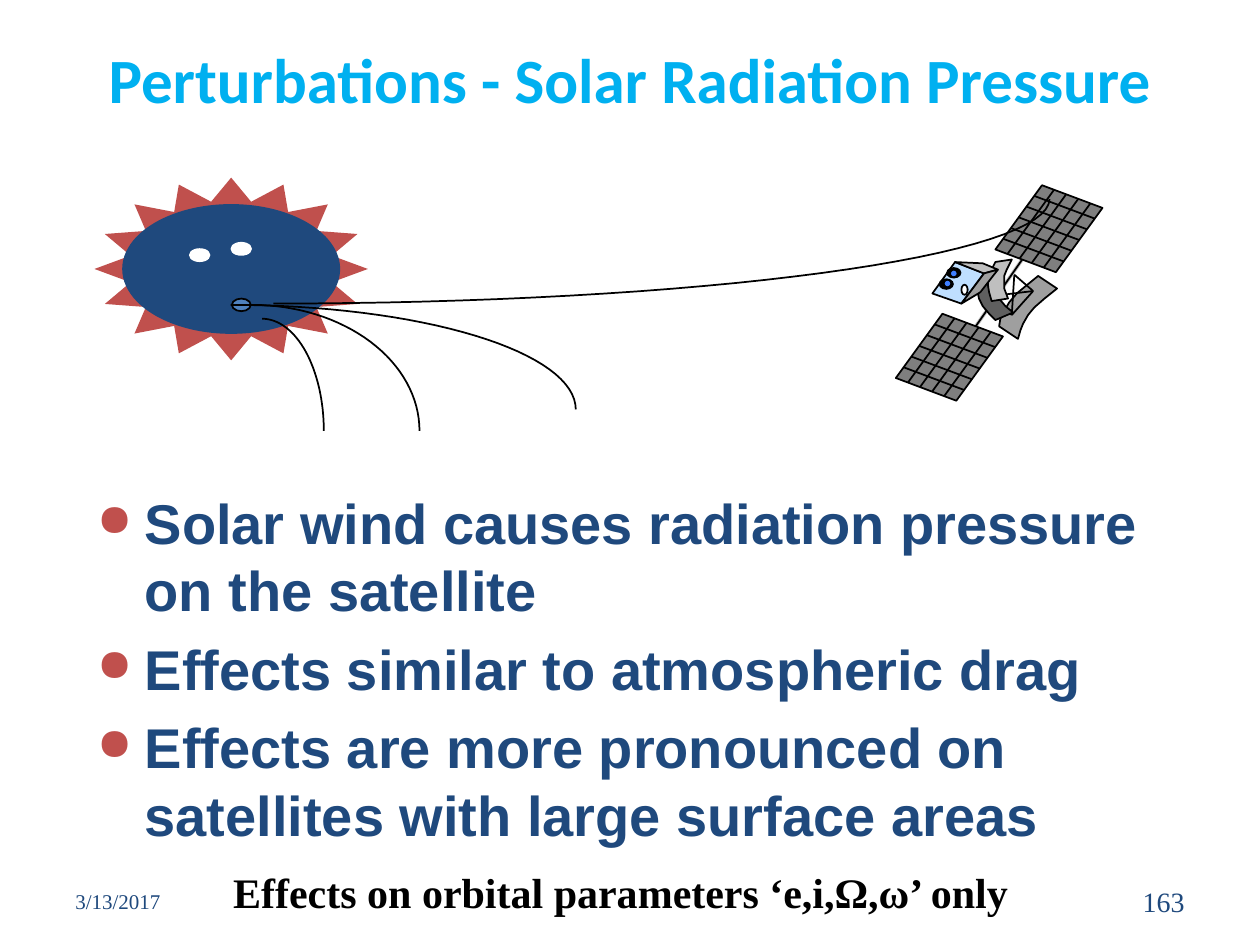
import math

from pptx import Presentation
from pptx import util as u
from pptx.dml.color import RGBColor
from pptx.enum import shapes, text
from pptx.oxml import parse_xml
from pptx.oxml.ns import nsdecls, qn

BLACK = RGBColor(0x00, 0x00, 0x00)
WHITE = RGBColor(0xFF, 0xFF, 0xFF)
SKY = RGBColor(0x00, 0xB0, 0xF0)
NAVY = RGBColor(0x1F, 0x49, 0x7D)
RED = RGBColor(0xC0, 0x50, 0x4D)
BLUE = RGBColor(0x4F, 0x81, 0xBD)
EYE_BLUE = RGBColor(0x3F, 0x7F, 0xFF)
PALE_BLUE = RGBColor(0xBF, 0xDF, 0xFF)
DARK_GREY = RGBColor(0x5F, 0x5F, 0x5F)
PANEL_GREY = RGBColor(0x7F, 0x7F, 0x7F)
MID_GREY = RGBColor(0x9F, 0x9F, 0x9F)
LIGHT_GREY = RGBColor(0xBF, 0xBF, 0xBF)

OVAL = shapes.MSO_SHAPE.OVAL
LEFT, CENTER, RIGHT = text.PP_ALIGN.LEFT, text.PP_ALIGN.CENTER, text.PP_ALIGN.RIGHT


def inches(*values):
    return [u.Inches(value) for value in values]


def between(start, end, share):
    return tuple(a + (b - a) * share for a, b in zip(start, end))


class SlideBuilder:
    serif = "Times New Roman"
    outline_width = 1

    def __init__(self, slide):
        self.slide = slide
        self.canvas = slide.shapes

    def start_group(self):
        self.canvas = self.slide.shapes.add_group_shape().shapes

    def end_group(self):
        self.canvas = self.slide.shapes

    def paint(self, shape, fill, line):
        shape.shadow.inherit = False
        if fill is None:
            shape.fill.background()
        else:
            shape.fill.solid()
            shape.fill.fore_color.rgb = fill
        if line is None:
            shape.line.fill.background()
        else:
            shape.line.color.rgb = line
            shape.line.width = u.Pt(self.outline_width)
        return shape

    def preset(self, kind, box, fill, line=None, rotation=0):
        shape = self.canvas.add_shape(kind, *inches(*box))
        shape.rotation = rotation
        return self.paint(shape, fill, line)

    def outline(self, points, fill=None, close=True):
        start, *rest = [inches(*point) for point in points]
        builder = self.canvas.build_freeform(*start)
        builder.add_line_segments(rest, close=close)
        return self.paint(builder.convert_to_shape(), fill, BLACK)

    def quarter_arc(self, center, radius_x, radius_y):
        """Draw a quarter ellipse from straight above or below the center to its right."""
        steps = 32
        angles = [math.pi / 2 * step / steps for step in range(steps + 1)]
        self.outline([(center[0] + radius_x * math.sin(angle),
                       center[1] + radius_y * math.cos(angle)) for angle in angles],
                     close=False)

    def line(self, start, end, color=BLACK, width=outline_width):
        connector = self.canvas.add_connector(
            shapes.MSO_CONNECTOR.STRAIGHT, *inches(*start, *end))
        connector.line.color.rgb = color
        connector.line.width = u.Pt(width)
        connector._element.spPr.append(parse_xml(f"<a:effectLst {nsdecls('a')}/>"))

    def solar_panel(self, corners):
        bottom_left, top_left, top_right, bottom_right = corners
        self.outline(corners, PANEL_GREY)
        for row in range(1, 6):
            self.line(between(top_left, bottom_left, row / 6),
                      between(top_right, bottom_right, row / 6))
        for column in range(1, 5):
            self.line(between(bottom_left, bottom_right, column / 5),
                      between(top_left, top_right, column / 5))

    def format(self, paragraph, size, color, name=serif, bold=False, align=LEFT):
        paragraph.alignment = align
        for run in paragraph.runs:
            run.font.size = u.Pt(size)
            run.font.name = name
            run.font.bold = bold
            run.font.color.rgb = color

    def title(self, wording, box):
        heading = self.slide.shapes.title
        heading.left, heading.top, heading.width, heading.height = inches(*box)
        frame = heading.text_frame
        frame.text = wording
        frame.auto_size = text.MSO_AUTO_SIZE.NONE
        frame.vertical_anchor = text.MSO_ANCHOR.MIDDLE
        self.format(frame.paragraphs[0], 36, SKY, "Calibri", True, CENTER)

    def footer(self, wording, box, size, align):
        frame = self.canvas.add_textbox(*inches(*box)).text_frame
        frame.word_wrap = True
        frame.vertical_anchor = text.MSO_ANCHOR.MIDDLE
        frame.text = wording
        self.format(frame.paragraphs[0], size, NAVY, align=align)

    def caption(self, wording, box):
        frame = self.preset(shapes.MSO_SHAPE.RECTANGLE, box, WHITE).text_frame
        frame.text = wording
        frame.margin_left = u.Inches(0.18)
        frame.vertical_anchor = text.MSO_ANCHOR.TOP
        self.format(frame.paragraphs[0], 24, BLACK, bold=True)

    def bullets(self, items, box):
        frame = self.canvas.add_textbox(*inches(*box)).text_frame
        frame.word_wrap = True
        for index, item in enumerate(items):
            paragraph = frame.add_paragraph() if index else frame.paragraphs[0]
            paragraph.text = item
            properties = paragraph._p.get_or_add_pPr()
            properties.set("marL", str(u.Inches(0.38)))
            properties.set("indent", str(u.Inches(-0.38)))
            for tag in (f'buClr {nsdecls("a")}><a:srgbClr val="{RED}"/></a:buClr',
                        f'buSzPct {nsdecls("a")} val="80000"/',
                        f'buChar {nsdecls("a")} char="●"/'):
                properties.append(parse_xml(f"<a:{tag}>"))
            if index:
                paragraph.space_before = u.Pt(6.4)
            self.format(paragraph, 32, NAVY, "Arial", True)


def draw_sun(page):
    page.start_group()
    page.preset(shapes.MSO_SHAPE.STAR_16_POINT, (0.75, 1.41, 2.17, 1.45), RED)
    page.preset(OVAL, (0.97, 1.62, 1.73, 1.03), NAVY)
    for eye in ((1.5, 1.97), (1.83, 1.92)):
        page.preset(OVAL, (*eye, 0.17, 0.11), WHITE)
    page.preset(OVAL, (1.84, 2.37, 0.15, 0.1), BLUE, BLACK)
    page.end_group()


def draw_satellite(page):
    page.start_group()
    page.outline([(7.93, 2.59), (7.94, 2.53), (7.97, 2.47), (8.01, 2.4), (8.07, 2.33),
                  (8.13, 2.28), (8.24, 2.19), (8.39, 2.29), (8.29, 2.37), (8.21, 2.44),
                  (8.16, 2.5), (8.12, 2.57), (8.1, 2.62), (8.08, 2.69)], MID_GREY)
    top, side, base, feed = (8.05, 2.18), (8.2, 2.31), (8.03, 2.5), (7.87, 2.35)
    for start, end in ((top, base), (side, feed), (top, side), (side, base), (base, feed)):
        page.line(start, end)
    mast = (7.73, 2.61), (8.12, 2.05)
    page.line(*mast, LIGHT_GREY, 2)
    page.line(*mast)

    lower_panel = [(7.11, 3), (7.48, 2.49), (7.96, 2.67), (7.59, 3.18)]
    for shift_x, shift_y in ((0, 0), (0.79, -1.02)):
        page.solar_panel([(x + shift_x, y + shift_y) for x, y in lower_panel])

    page.outline([(7.75, 2.27), (7.88, 2.22), (7.89, 2.3), (7.93, 2.37), (7.98, 2.43),
                  (8.04, 2.48), (7.9, 2.54), (7.85, 2.49), (7.8, 2.43), (7.77, 2.37),
                  (7.76, 2.32)], DARK_GREY)
    page.outline([(7.87, 2.39), (7.85, 2.32), (7.84, 2.26), (7.85, 2.18), (7.88, 2.12),
                  (7.9, 2.08), (8.03, 2.06), (7.99, 2.14), (7.97, 2.19), (7.97, 2.29),
                  (8, 2.37)], LIGHT_GREY)
    front_top, front_right, front_bottom, back = (7.58, 2.08), (7.81, 2.17), (7.63, 2.41), (7.92, 2.14)
    page.outline([(7.4, 2.33), front_top, front_right, front_bottom], PALE_BLUE)
    page.outline([front_top, (7.8, 2.09), back, front_right], LIGHT_GREY)
    page.outline([front_bottom, front_right, back, (7.78, 2.32)], MID_GREY)

    for eye in ((7.45, 2.21), (7.51, 2.12)):
        page.preset(OVAL, (*eye, 0.12, 0.09), BLACK)
    for pupil in ((7.49, 2.22), (7.54, 2.14)):
        page.preset(OVAL, (*pupil, 0.06, 0.06), EYE_BLUE, BLACK, 328)
    page.preset(OVAL, (7.63, 2.26, 0.05, 0.08), WHITE, BLACK)
    page.end_group()


def main():
    deck = Presentation()
    deck.slide_width, deck.slide_height = inches(10, 7.5)
    page = SlideBuilder(deck.slides.add_slide(deck.slide_layouts[5]))

    page.footer("3/13/2017", (0.5, 6.95, 2.33, 0.4), 12, LEFT)
    page.footer("163", (7.17, 6.95, 2.33, 0.4), 16, RIGHT)
    page.title("Perturbations - Solar Radiation Pressure", (0.75, 0, 8.5, 1.25))
    page.caption("Effects on orbital parameters ‘e,i,Ω,ω’ only", (1.67, 6.83, 6.92, 0.5))
    draw_sun(page)
    draw_satellite(page)
    for center, radius_x, radius_y in (((2.08, 3.42), 0.49, -0.89),
                                       ((2.17, 1.58), 6.16, 0.83),
                                       ((2, 3.42), 1.33, -1),
                                       ((1.83, 3.25), 2.74, -0.83)):
        page.quarter_arc(center, radius_x, radius_y)
    page.bullets(["Solar wind causes radiation pressure on the satellite",
                  "Effects similar to atmospheric drag",
                  "Effects are more pronounced on satellites with large surface areas"],
                 (0.67, 3.83, 8.75, 3.02))
    deck.save("out.pptx")


if __name__ == "__main__":
    main()
